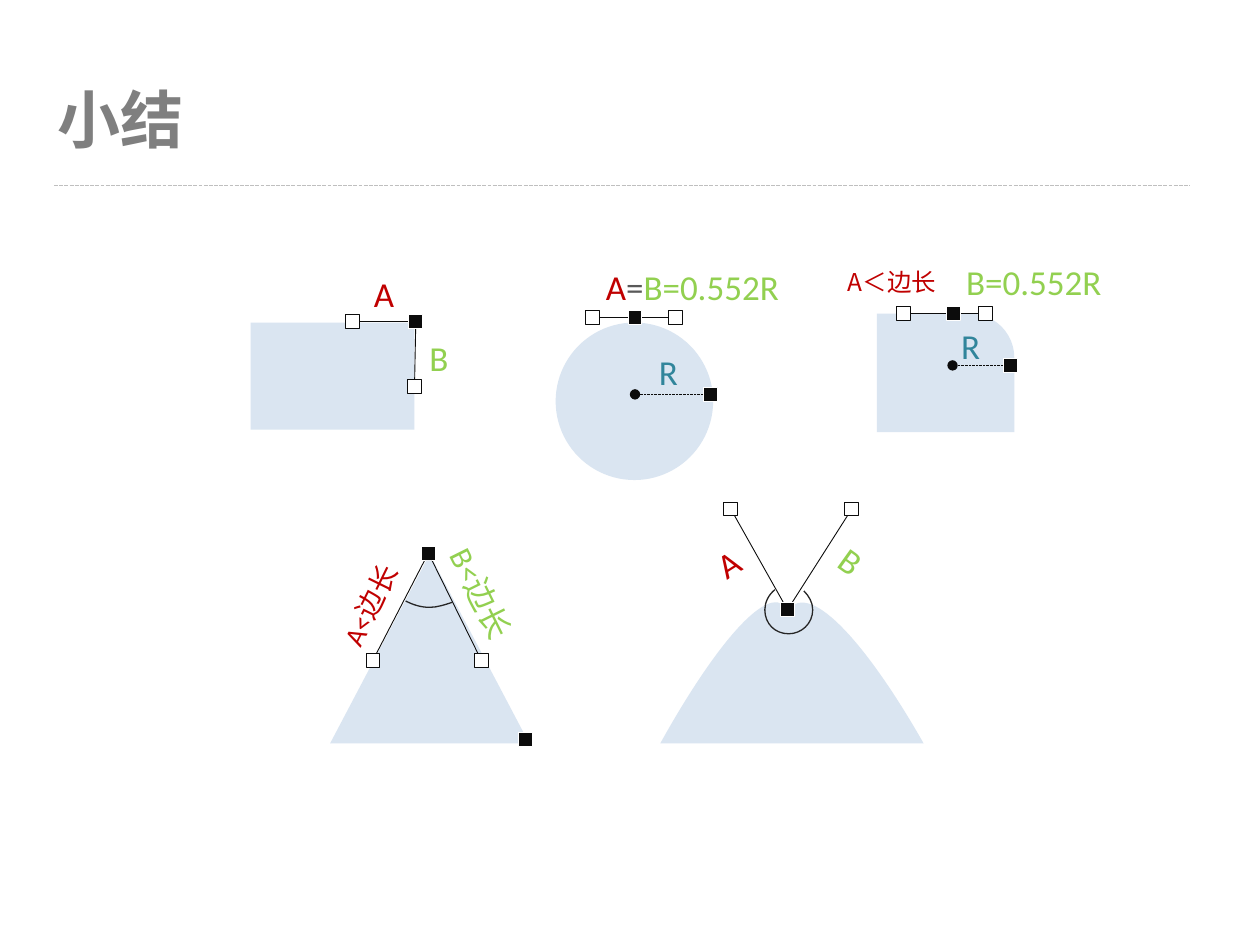
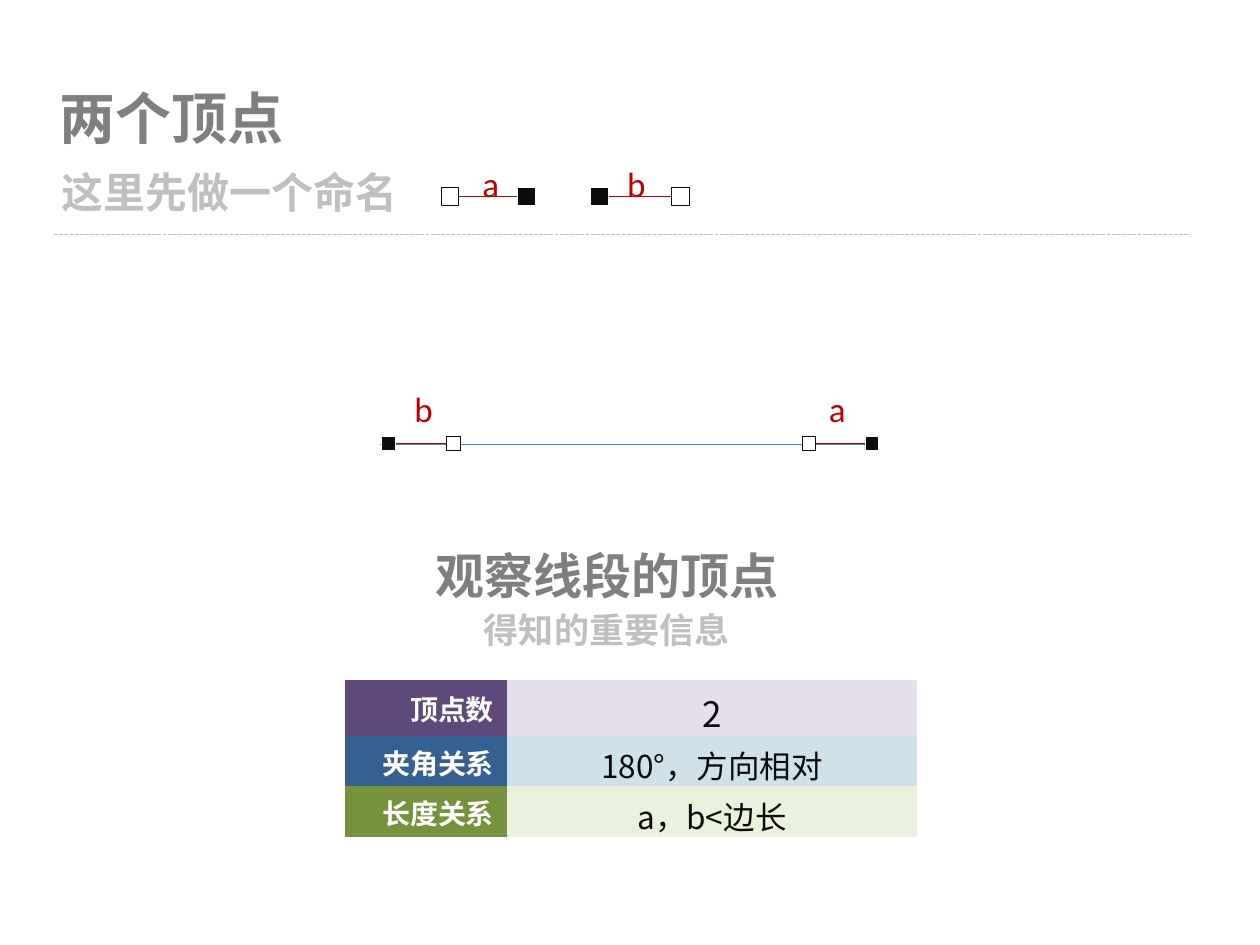
from lxml import etree
from pptx import Presentation
from pptx.dml.color import RGBColor
from pptx.enum.dml import MSO_LINE
from pptx.enum.shapes import MSO_CONNECTOR, MSO_SHAPE
from pptx.enum.text import MSO_ANCHOR, MSO_AUTO_SIZE, PP_ALIGN
from pptx.oxml.ns import qn
from pptx.util import Inches, Pt

RECT, OVAL = MSO_SHAPE.RECTANGLE, MSO_SHAPE.OVAL
TRIANGLE, ROUND_ONE = MSO_SHAPE.ISOSCELES_TRIANGLE, MSO_SHAPE.ROUND_1_RECTANGLE
STRAIGHT, DASH = MSO_CONNECTOR.STRAIGHT, MSO_LINE.SQUARE_DOT
TOP, MIDDLE = MSO_ANCHOR.TOP, MSO_ANCHOR.MIDDLE
LEFT, CENTER, RIGHT = PP_ALIGN.LEFT, PP_ALIGN.CENTER, PP_ALIGN.RIGHT
FIT = MSO_AUTO_SIZE.SHAPE_TO_FIT_TEXT

CJK, LATIN = "Noto Sans CJK SC", "Calibri"
INK, WHITE, PALE = "0C0C0C", "FFFFFF", "DAE5F1"
GREY, SILVER, ARC_GREY = "7F7F7F", "BFBFBF", "262626"
RED, GREEN, TEAL, BLUE = "C00000", "92D050", "31859B", "4F81BD"
NO_GRID = "{2D5ABB26-0587-4C30-8999-92F81FD0307C}"


def rgb(value):
    return RGBColor.from_string(value)


# Text
def add_run(p, text, color, size, font=LATIN, bold=False):
    r = p.add_run()
    r.text = text
    for name, value in {"name": font, "size": Pt(size), "bold": bold}.items():
        setattr(r.font, name, value)
    r.font.color.rgb = rgb(color)
    etree.SubElement(r._r.get_or_add_rPr(), qn("a:ea")).set("typeface", CJK)


def add_text(s, box, paragraphs, align=LEFT, spacing=None, anchor=TOP,
             wrap=False, rotation=0):
    """Each paragraph is a list of runs, each run the arguments of add_run."""
    sp = s.shapes.add_textbox(*map(Inches, box))
    sp.rotation = rotation
    tf = sp.text_frame
    for name, value in {"word_wrap": wrap, "auto_size": FIT,
                        "vertical_anchor": anchor}.items():
        setattr(tf, name, value)
    for i, runs in enumerate(paragraphs):
        p = tf.add_paragraph() if i else tf.paragraphs[0]
        p.alignment, p.line_spacing = align, spacing
        for run in runs:
            add_run(p, *run)


def add_label(s, x, y, w, *runs, h=0.44, rotation=0):
    add_text(s, (x, y, w, h), [runs], rotation=rotation)


def add_title(s, box, text, size, rule_y):
    add_text(s, box, [[(text, GREY, size, CJK, True)]], spacing=1.1,
             anchor=MIDDLE)
    add_line(s, (0.43, rule_y), (9.44, rule_y), SILVER, 0.75, DASH)


# Shapes and lines
def style_shape(sp, fill=None, line=None, width=0.5):
    sp.shadow.inherit = False
    if fill:
        sp.fill.solid()
        sp.fill.fore_color.rgb = rgb(fill)
    else:
        sp.fill.background()
    if line:
        sp.line.color.rgb = rgb(line)
        sp.line.width = Pt(width)
    else:
        sp.line.fill.background()


def add_shape(s, kind, box, fill=PALE, line=None):
    sp = s.shapes.add_shape(kind, *map(Inches, box))
    style_shape(sp, fill, line)
    return sp


def add_line(s, start, end, color=INK, width=0.5, dash=None, dot=False):
    line = s.shapes.add_connector(STRAIGHT, *map(Inches, start + end))
    line.line.color.rgb = rgb(color)
    line.line.width = Pt(width)
    if dash:
        line.line.dash_style = dash
    if dot:
        etree.SubElement(line.line._get_or_add_ln(), qn("a:tailEnd")).set("type", "oval")
    etree.SubElement(line._element.spPr, qn("a:effectLst"))


def add_curve(s, start, pieces, fill=None, line=None):
    """A piece of one point is straight, a piece of three is a cubic curve."""
    points = [(Inches(x), Inches(y)) for piece in pieces for x, y in piece]
    builder = s.shapes.build_freeform(*map(Inches, start))
    builder.add_line_segments(points, close=bool(fill))
    sp = builder.convert_to_shape()
    segments = iter(list(sp._element.iter(qn("a:lnTo"))))
    for piece in pieces:
        group = [next(segments) for _ in piece]
        if len(group) == 3:
            cubic = etree.Element(qn("a:cubicBezTo"))
            group[0].addprevious(cubic)
            for segment in group:
                cubic.append(segment[0])
                segment.getparent().remove(segment)
    style_shape(sp, fill, line, 0.75)


# Anchor points with their control handles
def add_square(s, center, solid, size):
    x, y = center
    fill, line = (INK, WHITE) if solid else (WHITE, INK)
    add_shape(s, RECT, (x - size / 2, y - size / 2, size, size), fill, line)


def add_anchor(s, vertex, *controls, color=INK, size=0.11):
    for control in controls:
        add_line(s, vertex, control, color)
    for control in controls:
        add_square(s, control, False, size)
    add_square(s, vertex, True, size)


def add_radius(s, edge, center, label_x, label_y):
    add_label(s, label_x, label_y, 0.35, ("R", TEAL, 20))
    add_line(s, edge, center, dash=DASH, dot=True)
    add_anchor(s, edge)


def add_table(s, box, widths, heights, rows):
    frame = s.shapes.add_table(len(rows), len(widths), *map(Inches, box))
    table = frame.table
    table.first_row = table.horz_banding = False
    table._tbl.tblPr.find(qn("a:tableStyleId")).text = NO_GRID
    for col, width in zip(table.columns, widths):
        col.width = Inches(width)
    for row, height, (head, dark, value, size, light) in zip(table.rows, heights, rows):
        row.height = Inches(height)
        cells = ((head, dark, WHITE, 16, True, RIGHT),
                 (value, light, INK, size, False, CENTER))
        for cell, (text, fill, color, points, bold, align) in zip(row.cells, cells):
            cell.fill.solid()
            cell.fill.fore_color.rgb = rgb(fill)
            cell.vertical_anchor = MIDDLE
            p = cell.text_frame.paragraphs[0]
            p.alignment = align
            add_run(p, text, color, points, CJK, bold)


# Slides
def build_summary(s):
    add_title(s, (0.36, 0.53, 1.2, 0.76), "小结", 36, 1.47)

    # Rectangle
    add_shape(s, RECT, (1.99, 2.56, 1.3, 0.85))
    add_anchor(s, (3.3, 2.55), (2.8, 2.55), (3.29, 3.07))
    add_label(s, 2.87, 2.11, 0.36, ("A", RED, 20))
    add_label(s, 3.31, 2.62, 0.35, ("B", GREEN, 20))

    # Circle
    add_shape(s, OVAL, (4.41, 2.56, 1.25, 1.25))
    add_anchor(s, (5.04, 2.52), (4.7, 2.52), (5.36, 2.52))
    add_label(s, 4.71, 2.06, 1.6, ("A", RED, 20), ("=", "595959", 20),
              ("B=0.552R", GREEN, 20))
    add_radius(s, (5.64, 3.13), (5.04, 3.13), 5.13, 2.73)

    # Rectangle with one round corner
    corner = add_shape(s, ROUND_ONE, (6.96, 2.49, 1.09, 0.94))
    corner.adjustments[0] = 0.37
    add_label(s, 6.63, 2.07, 0.97, ("A＜边长", RED, 14, CJK), h=0.34)
    add_label(s, 7.57, 2.02, 1.3, ("B=0.552R", GREEN, 20))
    add_anchor(s, (7.57, 2.49), (7.17, 2.49), (7.82, 2.49))
    add_radius(s, (8.02, 2.9), (7.56, 2.9), 7.53, 2.53)

    # Triangle
    add_shape(s, TRIANGLE, (2.62, 4.4, 1.58, 1.5))
    add_label(s, 2.47, 4.58, 0.97, ("A<边长", RED, 16), h=0.37, rotation=296.2)
    add_label(s, 3.32, 4.54, 1.03, ("B<边长", GREEN, 18), h=0.4, rotation=63.6)
    add_anchor(s, (3.4, 4.39), (2.96, 5.24), (3.82, 5.24))
    add_anchor(s, (4.17, 5.87))
    add_curve(s, (3.59, 4.78), [[(3.53, 4.8), (3.47, 4.82), (3.41, 4.82)],
                                [(3.34, 4.82), (3.28, 4.8), (3.22, 4.77)]],
              line=ARC_GREY)

    # Hill with a dented top
    add_curve(s, (6.17, 4.78), [[(6.2, 4.79), (6.23, 4.81), (6.25, 4.85)],
                                [(6.43, 4.58), (6.91, 5.16), (7.33, 5.9)],
                                [(5.24, 5.9)],
                                [(5.59, 5.27), (5.97, 4.76), (6.17, 4.78)]],
              fill=PALE)
    add_label(s, 5.6, 4.25, 0.36, ("A", RED, 20), rotation=327.4)
    add_label(s, 6.58, 4.23, 0.35, ("B", GREEN, 20), rotation=35.6)
    add_anchor(s, (6.25, 4.84), (5.8, 4.04), (6.76, 4.04))
    add_curve(s, (6.38, 4.69), [[(6.42, 4.73), (6.45, 4.78), (6.45, 4.84)],
                                [(6.45, 4.95), (6.36, 5.03), (6.26, 5.03)],
                                [(6.15, 5.03), (6.07, 4.95), (6.07, 4.84)],
                                [(6.07, 4.78), (6.1, 4.72), (6.15, 4.68)]],
              line=ARC_GREY)


def build_two_vertices(s):
    add_title(s, (0.37, 0.56, 1.98, 0.69), "两个顶点", 32, 1.86)
    add_text(s, (0.39, 1.23, 2.9, 0.54),
             [[("这里先做一个命名", SILVER, 24, CJK, True)]], spacing=1.1)

    # Naming key, then the segment with both handles
    add_line(s, (3.02, 3.53), (6.93, 3.53), BLUE, 0.75)
    for name, vertex_x, control_x, y, size, label_x, label_y in (
            ("a", 4.18, 3.57, 1.56, 0.14, 3.73, 1.24),
            ("b", 4.76, 5.4, 1.56, 0.14, 4.88, 1.24),
            ("a", 6.92, 6.42, 3.52, 0.11, 6.48, 3.03),
            ("b", 3.08, 3.6, 3.52, 0.11, 3.19, 3.03)):
        add_anchor(s, (vertex_x, y), (control_x, y), color=RED, size=size)
        add_label(s, label_x, label_y, 0.34, (name, RED, 20))

    # Findings
    add_text(s, (3.29, 4.23, 3.05, 0.98),
             [[("观察线段的顶点", GREY, 28, CJK, True)],
              [("得知的重要信息", SILVER, 20, CJK, True)]],
             align=CENTER, spacing=1.1, wrap=True)
    add_table(s, (2.74, 5.4, 4.54, 1.24), (1.28, 3.26), (0.44, 0.4, 0.4), (
        ("顶点数", "5F497A", "2", 20, "E5DFEC"),
        ("夹角关系", "366092", "180°，方向相对", 18, "CFE2EA"),
        ("长度关系", "76923C", "a，b<边长", 18, "EAF1DD")))


def main():
    prs = Presentation()
    prs.slide_width, prs.slide_height = Inches(10), Inches(7.5)
    for build in (build_summary, build_two_vertices):
        build(prs.slides.add_slide(prs.slide_layouts[6]))
    prs.save("out.pptx")


if __name__ == "__main__":
    main()
